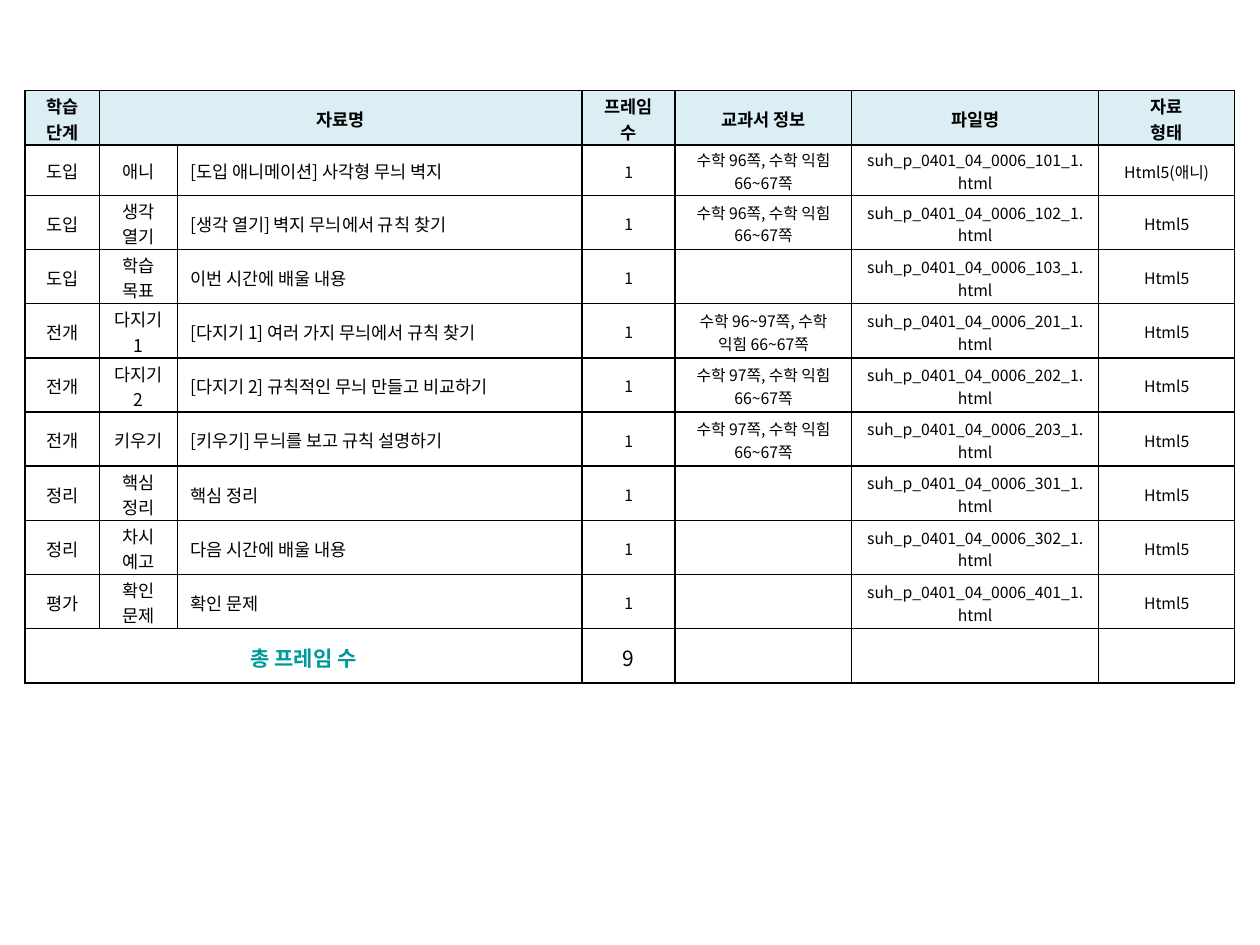
from dataclasses import dataclass
from typing import Optional

from lxml import etree
from pptx import Presentation
from pptx.dml.color import RGBColor
from pptx.enum import text
from pptx.oxml import ns
from pptx.util import Inches, Pt


@dataclass(frozen=True)
class Theme:
    font: str = "Noto Sans CJK KR"
    ink: str = "000000"
    head: str = "DBEEF4"
    accent: str = "009999"
    small: int = 9
    body: int = 10
    total: int = 12
    line: int = 1


@dataclass(frozen=True)
class Style:
    size: int
    color: str
    bold: bool = False
    left: bool = False
    fill: Optional[str] = None


@dataclass(frozen=True)
class Frame:
    stage: str
    step: str
    title: str
    pages: str
    code: str
    kind: str = "Html5"

    def texts(self) -> list[str]:
        book = f"수학 {self.pages}쪽, 수학 익힘 66~67쪽" if self.pages else ""
        file = f"suh_p_0401_04_0006_{self.code}_1.html"
        return [self.stage, self.step, self.title, "1", book, file, self.kind]


THEME = Theme()
HEAD = Style(THEME.body, THEME.ink, bold=True, fill=THEME.head)
BODY = Style(THEME.body, THEME.ink)
TITLE = Style(THEME.body, THEME.ink, left=True)
SMALL = Style(THEME.small, THEME.ink)
LABEL = Style(THEME.total, THEME.accent, bold=True)
COUNT = Style(THEME.total, THEME.ink)

# Table content
HEADS = ["학습 단계", "자료명", "", "프레임 수", "교과서 정보", "파일명", "자료\n형태"]
FRAMES = [
    Frame("도입", "애니", "[도입 애니메이션] 사각형 무늬 벽지", "96", "101", "Html5(애니)"),
    Frame("도입", "생각 열기", "[생각 열기] 벽지 무늬에서 규칙 찾기", "96", "102"),
    Frame("도입", "학습 목표", "이번 시간에 배울 내용", "", "103"),
    Frame("전개", "다지기1", "[다지기 1] 여러 가지 무늬에서 규칙 찾기", "96~97", "201"),
    Frame("전개", "다지기 2", "[다지기 2] 규칙적인 무늬 만들고 비교하기", "97", "202"),
    Frame("전개", "키우기", "[키우기] 무늬를 보고 규칙 설명하기", "97", "203"),
    Frame("정리", "핵심 정리", "핵심 정리", "", "301"),
    Frame("정리", "차시 예고", "다음 시간에 배울 내용", "", "302"),
    Frame("평가", "확인 문제", "확인 문제", "", "401"),
]
TOTALS = ["총 프레임 수", "", "", str(len(FRAMES)), "", "", ""]
ROWS = [HEADS, *(frame.texts() for frame in FRAMES), TOTALS]

# Column styles and sizes
HEAD_ROW = [HEAD] * 7
BODY_ROW = [BODY, BODY, TITLE] + [SMALL] * 4
TOTAL_ROW = [LABEL] * 3 + [COUNT] * 4
STYLES = [HEAD_ROW] + [BODY_ROW] * len(FRAMES) + [TOTAL_ROW]
WIDTHS = [0.59, 0.62, 3.21, 0.74, 1.4, 1.96, 1.08]
HEIGHTS = [0.43, 0.4] + [0.43] * 9


def edge(cell) -> None:
    """Draw a solid line on all four sides of a cell."""
    props = cell._tc.get_or_add_tcPr()
    for side in ("a:lnL", "a:lnR", "a:lnT", "a:lnB"):
        line = etree.SubElement(props, ns.qn(side), w=str(Pt(THEME.line)))
        fill = etree.SubElement(line, ns.qn("a:solidFill"))
        etree.SubElement(fill, ns.qn("a:srgbClr"), val=THEME.ink)


def write(cell, words: str, style: Style) -> None:
    """Set the words of a cell and format its runs."""
    cell.text_frame.text = words
    for para in cell.text_frame.paragraphs:
        para.alignment = text.PP_ALIGN.LEFT if style.left else text.PP_ALIGN.CENTER
        for run in para.runs:
            font = run.font
            font.name, font.size, font.bold = THEME.font, Pt(style.size), style.bold
            font.color.rgb = RGBColor.from_string(style.color)
            etree.SubElement(run._r.get_or_add_rPr(), ns.qn("a:ea"), typeface=THEME.font)


def paint(cell, words: str, style: Style) -> None:
    """Finish one cell: margins, lines, fill and text."""
    cell.vertical_anchor = text.MSO_ANCHOR.MIDDLE
    cell.margin_left = cell.margin_right = Inches(0.1)
    # Slim margins let two lines fit the row height
    cell.margin_top, cell.margin_bottom = Inches(0.02), Inches(0)
    edge(cell)
    if style.fill:
        cell.fill.solid()
        cell.fill.fore_color.rgb = RGBColor.from_string(style.fill)
    else:
        cell.fill.background()
    write(cell, words, style)


def build(slide) -> None:
    """Add the frame list table."""
    table = slide.shapes.add_table(
        len(ROWS), len(WIDTHS), Inches(0.2), Inches(0.72),
        Inches(sum(WIDTHS)), Inches(sum(HEIGHTS))).table
    table.first_row = table.horz_banding = False
    for col, width in zip(table.columns, WIDTHS):
        col.width = Inches(width)
    for row, height, words, styles in zip(table.rows, HEIGHTS, ROWS, STYLES):
        row.height = Inches(height)
        for cell, word, style in zip(row.cells, words, styles):
            paint(cell, word, style)
    # Joined cells in the heading and total rows
    last = len(ROWS) - 1
    table.cell(0, 1).merge(table.cell(0, 2))
    table.cell(last, 0).merge(table.cell(last, 2))


def main() -> None:
    deck = Presentation()
    deck.slide_width, deck.slide_height = Inches(10), Inches(7.5)
    build(deck.slides.add_slide(deck.slide_layouts[6]))
    deck.save("out.pptx")


if __name__ == "__main__":
    main()
